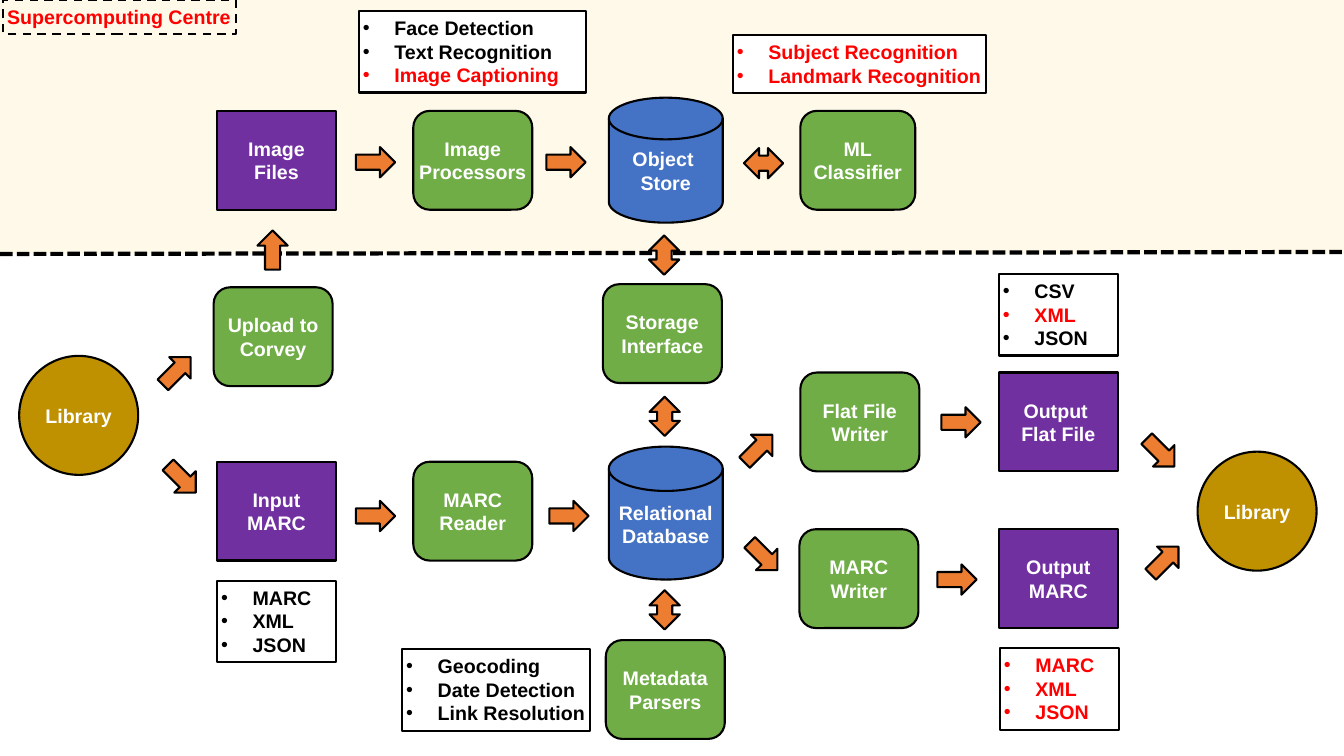
from lxml import etree
from pptx import Presentation
from pptx.dml.color import RGBColor
from pptx.enum.dml import MSO_LINE
from pptx.enum.shapes import MSO_CONNECTOR, MSO_SHAPE
from pptx.enum.text import MSO_ANCHOR, MSO_AUTO_SIZE, PP_ALIGN
from pptx.oxml.ns import qn
from pptx.util import Pt

BLACK = RGBColor(0x00, 0x00, 0x00)
WHITE = RGBColor(0xFF, 0xFF, 0xFF)
RED = RGBColor(0xFF, 0x00, 0x00)
CREAM = RGBColor(0xFF, 0xF2, 0xCC)
PURPLE = RGBColor(0x70, 0x30, 0xA0)
GREEN = RGBColor(0x70, 0xAD, 0x47)
BLUE = RGBColor(0x44, 0x72, 0xC4)
GOLD = RGBColor(0xBF, 0x90, 0x00)
ORANGE = RGBColor(0xED, 0x7D, 0x31)

RECTANGLE = MSO_SHAPE.RECTANGLE
ONE_WAY, TWO_WAY = MSO_SHAPE.RIGHT_ARROW, MSO_SHAPE.LEFT_RIGHT_ARROW

SLIDE_WIDTH, SLIDE_HEIGHT = 960, 540
BAND_HEIGHT = 181.4
ARROW_WIDTH, ARROW_HEIGHT = 28, 21.6
LINE_HEIGHT, NOTE_PADDING = 17, 7.2
BULLET_INDENT = 22.5

# kind: shape, fill, width, height
KINDS = {
    "file": (RECTANGLE, PURPLE, 85, 70.6),
    "process": (MSO_SHAPE.ROUNDED_RECTANGLE, GREEN, 85, 70.6),
    "classifier": (MSO_SHAPE.ROUNDED_RECTANGLE, GREEN, 82.1, 70.6),
    "object store": (MSO_SHAPE.FLOWCHART_MAGNETIC_DISK, BLUE, 81.4, 89.3),
    "database": (MSO_SHAPE.FLOWCHART_MAGNETIC_DISK, BLUE, 81.4, 95),
    "library": (MSO_SHAPE.OVAL, GOLD, 85, 85),
}

INPUTS, READERS, STORES, WRITERS, OUTPUTS = 155, 295.2, 434.9, 571.7, 713.5
IMAGE_ROW, READ_ROW, FLAT_ROW, MARC_ROW = 79.2, 329.8, 266.1, 378

# kind, text, left, top
NODES = [
    ("file", "Image\nFiles", INPUTS, IMAGE_ROW),
    ("process", "Image Processors", READERS, IMAGE_ROW),
    ("object store", "Object \nStore", STORES, 69.8),
    ("classifier", "ML\nClassifier", WRITERS, IMAGE_ROW),
    ("process", "Upload to Corvey", 152.6, 205.2),
    ("process", "Storage Interface", 430.6, 203),
    ("library", "Library", 13.7, 254.2),
    ("file", "Input\nMARC", INPUTS, READ_ROW),
    ("process", "MARC\nReader", READERS, READ_ROW),
    ("database", "Relational\nDatabase", STORES, 319),
    ("process", "Metadata\nParsers", 432.7, 457.2),
    ("process", "Flat File Writer", WRITERS, FLAT_ROW),
    ("process", "MARC\nWriter", 571, MARC_ROW),
    ("file", "Output \nFlat File", OUTPUTS, FLAT_ROW),
    ("file", "Output MARC", OUTPUTS, MARC_ROW),
    ("library", "Library", 855.4, 322.6),
]

# shape, centre x, centre y, rotation
ARROWS = [
    (ONE_WAY, 268.2, 115.9, 0),
    (ONE_WAY, 404.3, 115.9, 0),
    (TWO_WAY, 545.4, 116.6, 0),
    (ONE_WAY, 194.7, 178.6, 270),
    (TWO_WAY, 474.4, 182.2, 270),
    (TWO_WAY, 474.8, 297.4, 270),
    (TWO_WAY, 474.8, 435.6, 270),
    (ONE_WAY, 126.3, 265, 315),
    (ONE_WAY, 129.9, 342, 45),
    (ONE_WAY, 268.2, 368.6, 0),
    (ONE_WAY, 406.4, 368.6, 0),
    (ONE_WAY, 541.8, 320.4, 315),
    (ONE_WAY, 545.4, 397.4, 45),
    (ONE_WAY, 686.5, 301.7, 0),
    (ONE_WAY, 683.6, 414, 0),
    (ONE_WAY, 829, 323.3, 45),
    (ONE_WAY, 831.9, 400.3, 315),
]

# left, top, width, fill, wrap, lines with their colours
NOTES = [
    (256.3, 7.9, 162, WHITE, True,
     [("Face Detection", BLACK), ("Text Recognition", BLACK), ("Image Captioning", RED)]),
    (523.4, 25.2, 180.7, WHITE, False,
     [("Subject Recognition", RED), ("Landmark Recognition", RED)]),
    (INPUTS, 414.7, 85, None, False,
     [("MARC", BLACK), ("XML", BLACK), ("JSON", BLACK)]),
    (287.3, 463.7, 133.9, None, False,
     [("Geocoding", BLACK), ("Date Detection", BLACK), ("Link Resolution", BLACK)]),
    (OUTPUTS, 195.8, 85, None, True,
     [("CSV", BLACK), ("XML", RED), ("JSON", BLACK)]),
    (714.2, 463, 85, None, True,
     [("MARC", RED), ("XML", RED), ("JSON", RED)]),
]
CENTRE_LABEL = (2.2, 0, 166.3, None, False, [("Supercomputing Centre", RED)])


def add_box(slide, kind, left, top, width, height, fill):
    shape = slide.shapes.add_shape(kind, Pt(left), Pt(top), Pt(width), Pt(height))
    shape.shadow.inherit = False
    if fill is None:
        shape.fill.background()
    else:
        shape.fill.solid()
        shape.fill.fore_color.rgb = fill
    shape.line.color.rgb = BLACK
    shape.line.width = Pt(1.5)
    return shape


def set_frame(shape, side_margin, anchor, wrap):
    frame = shape.text_frame
    frame.margin_left = frame.margin_right = Pt(side_margin)
    frame.margin_top = frame.margin_bottom = Pt(3.6)
    frame.vertical_anchor = anchor
    frame.word_wrap = wrap
    return frame


def format_paragraph(paragraph, alignment, color):
    paragraph.alignment = alignment
    for run in paragraph.runs:
        run.font.name = "Arial"
        run.font.size = Pt(14)
        run.font.bold = True
        run.font.color.rgb = color
    for line_break in paragraph._p.findall(qn("a:br")):
        etree.SubElement(line_break, qn("a:rPr"), sz="1400", b="1")


def add_bullet(paragraph):
    properties = paragraph._p.get_or_add_pPr()
    properties.set("marL", str(Pt(BULLET_INDENT)))
    properties.set("indent", str(-Pt(BULLET_INDENT)))
    etree.SubElement(properties, qn("a:buFont"), typeface="Arial")
    etree.SubElement(properties, qn("a:buChar"), char="•")


def add_node(slide, kind, text, left, top):
    geometry, fill, width, height = KINDS[kind]
    shape = add_box(slide, geometry, left, top, width, height, fill)
    frame = set_frame(shape, 0, MSO_ANCHOR.MIDDLE, True)
    paragraph = frame.paragraphs[0]
    paragraph.text = text.replace("\n", "\v")
    format_paragraph(paragraph, PP_ALIGN.CENTER, WHITE)


def add_note(slide, left, top, width, fill, wrap, lines, bulleted=True):
    height = NOTE_PADDING + LINE_HEIGHT * len(lines)
    shape = add_box(slide, RECTANGLE, left, top, width, height, fill)
    frame = set_frame(shape, 2.9, MSO_ANCHOR.TOP, wrap)
    frame.auto_size = MSO_AUTO_SIZE.SHAPE_TO_FIT_TEXT
    frame.text = "\n".join(text for text, color in lines)
    for paragraph, (text, color) in zip(frame.paragraphs, lines):
        if bulleted:
            add_bullet(paragraph)
        format_paragraph(paragraph, PP_ALIGN.LEFT, color)
    return shape


def add_centre_area(slide):
    """Draw the tinted band, its dashed lower border and its label."""
    band = add_box(slide, RECTANGLE, 0, 0, SLIDE_WIDTH, BAND_HEIGHT, CREAM)
    band.line.fill.background()
    color = band._element.spPr.find(qn("a:solidFill"))[0]
    etree.SubElement(color, qn("a:alpha"), val="40000")
    border = slide.shapes.add_connector(
        MSO_CONNECTOR.STRAIGHT, 0, Pt(BAND_HEIGHT), Pt(SLIDE_WIDTH), Pt(180))
    border.line.color.rgb = BLACK
    border.line.width = Pt(3)
    border.line.dash_style = MSO_LINE.SQUARE_DOT
    etree.SubElement(border._element.spPr, qn("a:effectLst"))
    label = add_note(slide, *CENTRE_LABEL, bulleted=False)
    label.line.dash_style = MSO_LINE.DASH


def main():
    presentation = Presentation()
    presentation.slide_width = Pt(SLIDE_WIDTH)
    presentation.slide_height = Pt(SLIDE_HEIGHT)
    slide = presentation.slides.add_slide(presentation.slide_layouts[6])
    add_centre_area(slide)
    for node in NODES:
        add_node(slide, *node)
    for note in NOTES:
        add_note(slide, *note)
    for kind, x, y, rotation in ARROWS:
        arrow = add_box(slide, kind, x - ARROW_WIDTH / 2, y - ARROW_HEIGHT / 2,
                        ARROW_WIDTH, ARROW_HEIGHT, ORANGE)
        arrow.rotation = rotation
    presentation.save("out.pptx")


if __name__ == "__main__":
    main()
